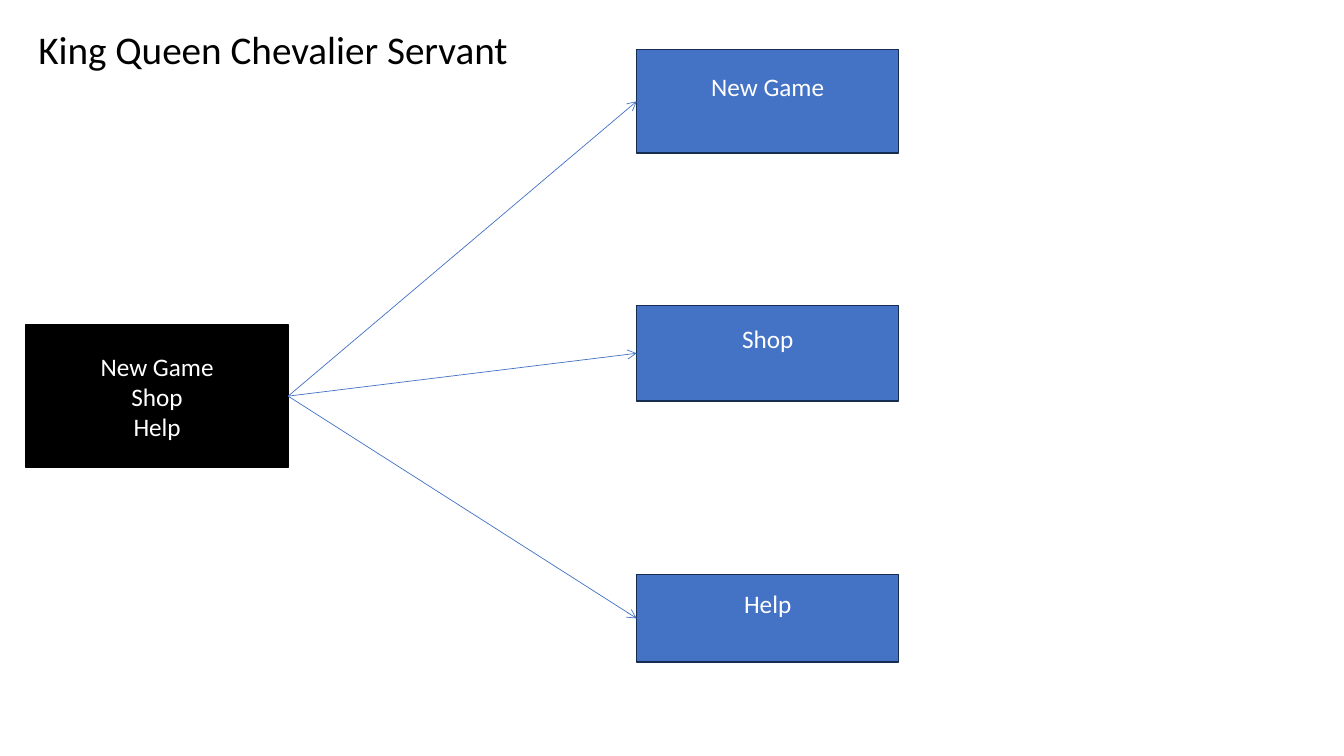
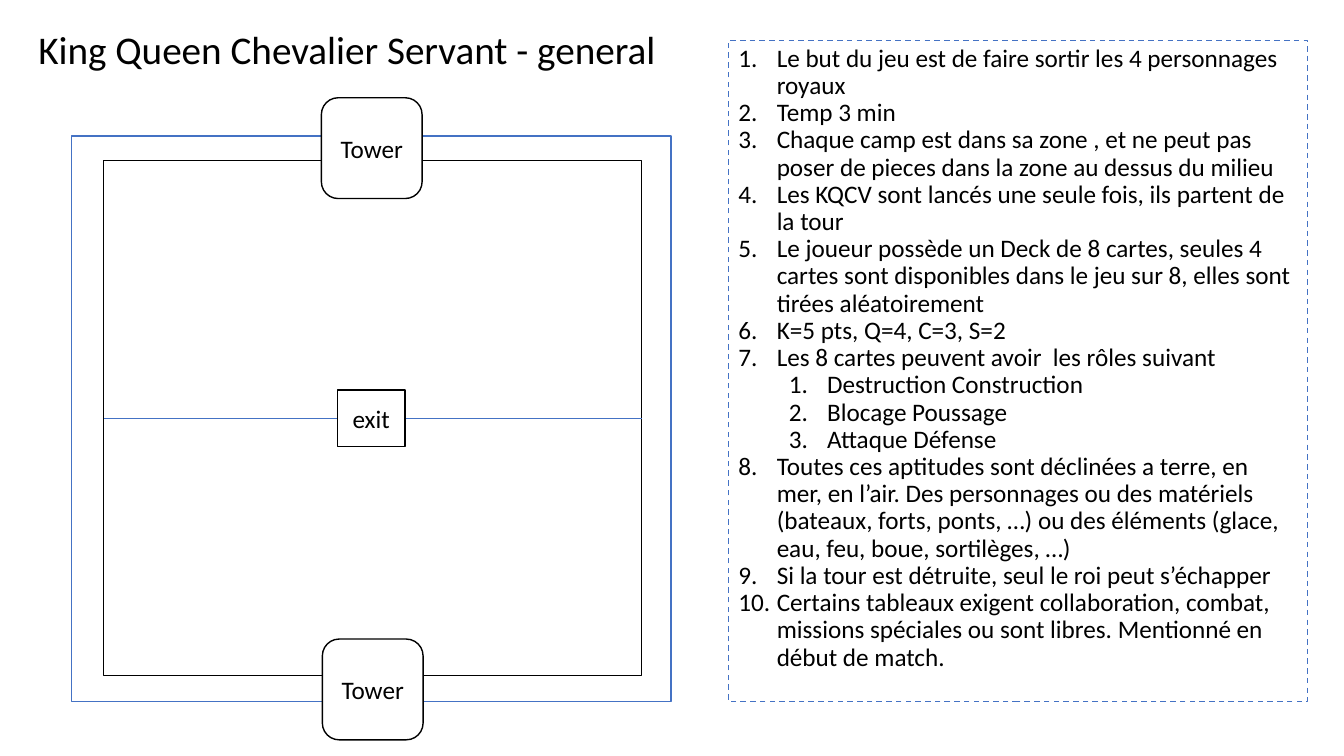
from lxml.etree import SubElement as Sub
from pptx import Presentation
from pptx.dml.color import RGBColor as Rgb
from pptx.enum.dml import MSO_LINE as Dash
from pptx.enum.shapes import MSO_CONNECTOR as Link, MSO_SHAPE as Form
from pptx.enum.text import MSO_ANCHOR as Anchor, MSO_AUTO_SIZE as Fit, PP_ALIGN as Align
from pptx.oxml.ns import qn
from pptx.util import Inches, Pt

HUES = {"black": "000000", "white": "FFFFFF", "blue": "4472C4", "navy": "172C51"}
FONT = "Calibri"
RIGHT, LEFT = 3, 1  # connection sites of a rectangle

RULES = [
    (0, "Le but du jeu est de faire sortir les 4 personnages royaux"),
    (0, "Temp 3 min"),
    (0, "Chaque camp est dans sa zone , et ne peut pas poser de pieces dans la zone "
        "au dessus du milieu"),
    (0, "Les KQCV sont lancés une seule fois, ils partent de la tour"),
    (0, "Le joueur possède un Deck de 8 cartes, seules 4 cartes sont disponibles "
        "dans le jeu sur 8, elles sont tirées aléatoirement"),
    (0, "K=5 pts, Q=4, C=3, S=2"),
    (0, "Les 8 cartes peuvent avoir  les rôles suivant"),
    (1, "Destruction Construction"),
    (1, "Blocage Poussage"),
    (1, "Attaque Défense"),
    (0, "Toutes ces aptitudes sont déclinées a terre, en mer, en l’air. Des personnages "
        "ou des matériels (bateaux, forts, ponts, …) ou des éléments (glace, eau, feu, "
        "boue, sortilèges, …)"),
    (0, "Si la tour est détruite, seul le roi peut s’échapper"),
    (0, "Certains tableaux exigent collaboration, combat, missions spéciales ou sont "
        "libres. Mentionné en début de match."),
]


def hue(name):
    return Rgb.from_string(HUES[name])


class Deck:
    """Holds the style and the current slide."""

    def __init__(self):
        self.file = Presentation()
        self.file.slide_width = Inches(13.34)
        self.file.slide_height = Inches(7.5)
        self.slide = None

    def page(self, layout, title, width):
        self.slide = self.file.slides.add_slide(self.file.slide_layouts[layout])
        head = self.slide.shapes.title
        self.place(head, 0.28, 0.2, width, 0.57)
        head.text_frame.text = title
        self.style(head.text_frame, 28, "black", Align.LEFT)

    def place(self, shape, x, y, w, h):
        shape.left, shape.top = Inches(x), Inches(y)
        shape.width, shape.height = Inches(w), Inches(h)

    def style(self, frame, size, color, align, anchor=Anchor.TOP):
        frame.word_wrap = True
        frame.auto_size = Fit.NONE
        frame.vertical_anchor = anchor
        for para in frame.paragraphs:
            para.alignment = align
            for run in para.runs:
                run.font.name = FONT
                run.font.size = Pt(size)
                run.font.color.rgb = hue(color)

    def box(self, x, y, w, h, fill, line, text="", ink="black", form=Form.RECTANGLE, foot=0.05):
        shape = self.slide.shapes.add_shape(form, Inches(x), Inches(y), Inches(w), Inches(h))
        shape.shadow.inherit = False
        shape.fill.solid()
        shape.fill.fore_color.rgb = hue(fill)
        shape.line.color.rgb = hue(line)
        shape.line.width = Pt(1)
        if text:
            frame = shape.text_frame
            frame.text = text
            frame.margin_bottom = Inches(foot)
            self.style(frame, 18, ink, Align.CENTER, Anchor.MIDDLE)
        return shape

    def line(self, x1, y1, x2, y2):
        link = self.slide.shapes.add_connector(
            Link.STRAIGHT, Inches(x1), Inches(y1), Inches(x2), Inches(y2))
        link.line.color.rgb = hue("blue")
        link.line.width = Pt(0.5)
        Sub(link._element.spPr, qn("a:effectLst"))
        return link

    def arrow(self, start, end):
        link = self.line(0, 0, 1, 1)
        link.begin_connect(start, RIGHT)
        link.end_connect(end, LEFT)
        Sub(link.line._get_or_add_ln(), qn("a:tailEnd"), type="arrow")

    def rules(self, items, x, y, w, h):
        body = self.slide.placeholders[1]
        self.place(body, x, y, w, h)
        body.line.color.rgb = hue("blue")
        body.line.width = Pt(1)
        body.line.dash_style = Dash.DASH
        frame = body.text_frame
        frame.text = "\n".join(text for _, text in items)
        self.style(frame, 18, "black", Align.LEFT)
        for para, (level, _) in zip(frame.paragraphs, items):
            para.level = level
            para.line_spacing = 0.9
            para.space_before = para.space_after = Pt(0)
            props = para._p.get_or_add_pPr()
            props.set("marL", str(Inches(0.38 + 0.5 * level)))
            props.set("indent", str(-Inches(0.38)))
            Sub(props, qn("a:buFont"), typeface=FONT)
            Sub(props, qn("a:buAutoNum"), type="arabicPeriod")


def main():
    deck = Deck()

    # Menu: one start box leads to three screens
    deck.page(5, "King Queen Chevalier Servant", 5.2)
    screens = [("New Game", 0.49, 1.03), ("Shop", 3.03, 0.95), ("Help", 5.7, 0.87)]
    names = "\n".join(name for name, _, _ in screens)
    menu = deck.box(0.26, 3.22, 2.6, 1.42, "black", "black", names, "white")
    boxes = [deck.box(6.32, y, 2.6, h, "blue", "navy", name, "white", foot=0.35)
             for name, y, h in screens]
    for box in boxes:
        deck.arrow(menu, box)

    # Board: two camps, an exit and a tower at each end
    deck.page(1, "King Queen Chevalier Servant - general", 6.6)
    deck.box(0.71, 1.35, 5.95, 5.61, "white", "blue")
    deck.box(1.03, 1.59, 5.34, 5.11, "white", "black")
    deck.line(1.03, 4.15, 6.37, 4.15)
    exit_box = deck.box(3.35, 3.87, 0.67, 0.56, "white", "black", "exit")
    exit_box.text_frame.word_wrap = False
    for x, y in [(3.19, 0.97), (3.2, 6.34)]:
        deck.box(x, y, 1, 1, "white", "black", "Tower", form=Form.ROUNDED_RECTANGLE)

    # Rules of the game
    deck.rules(RULES, 7.23, 0.4, 5.75, 6.56)

    deck.file.save("out.pptx")


if __name__ == "__main__":
    main()
